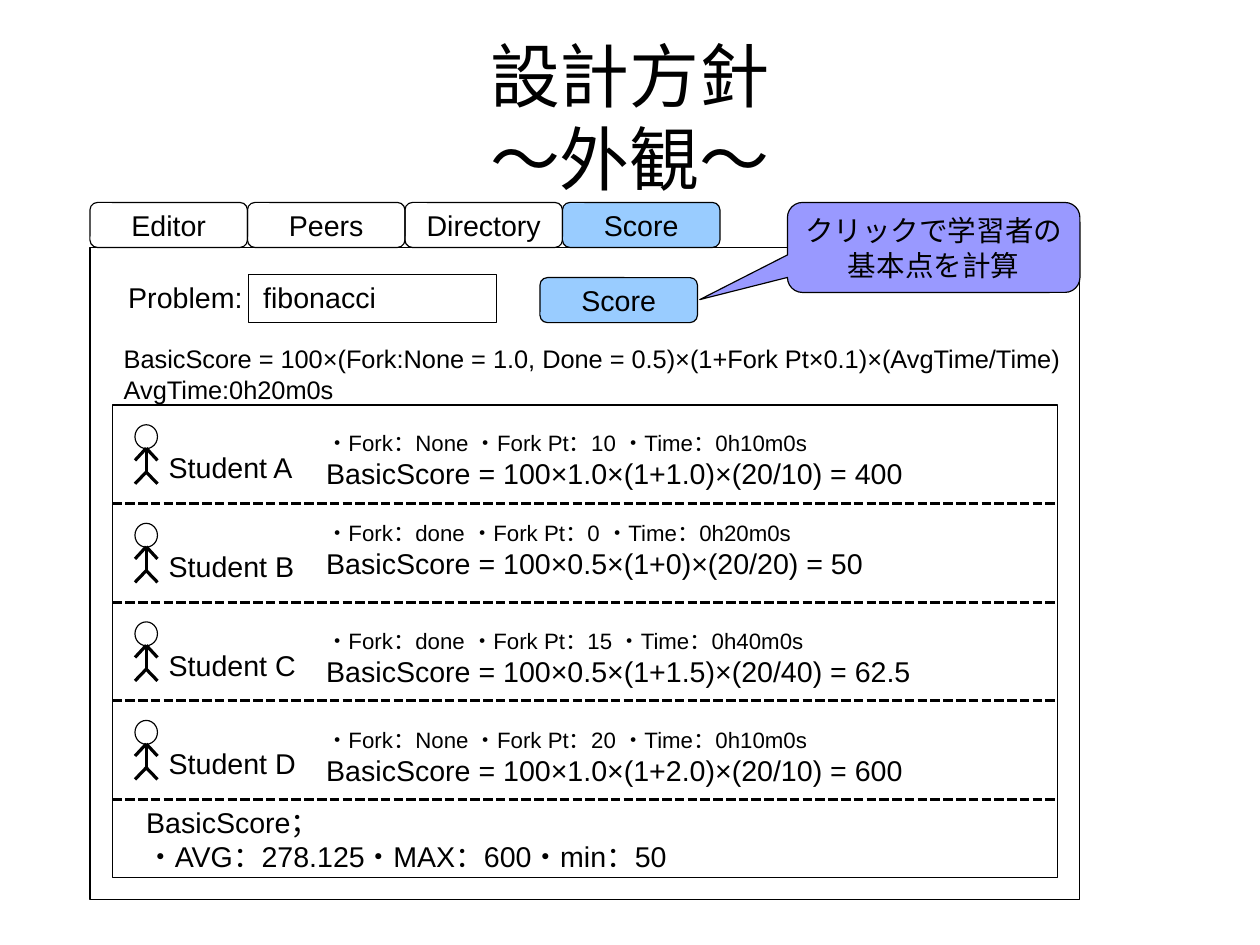
from lxml.etree import SubElement
from pptx import Presentation
from pptx.dml.color import RGBColor
from pptx.enum.dml import MSO_LINE_DASH_STYLE as DASH
from pptx.enum.shapes import MSO_CONNECTOR, MSO_SHAPE as SHAPE
from pptx.enum.text import MSO_ANCHOR as ANCHOR, MSO_AUTO_SIZE as AUTO_SIZE, PP_ALIGN as ALIGN
from pptx.oxml.ns import qn
from pptx.util import Cm, Pt

# Content
TITLE = "設計方針\v～外観～"
TABS = ["Editor", "Peers", "Directory", "Score"]
ACTIVE_TAB = "Score"
CALLOUT = [("クリックで学習者の", 18), ("基本点を計算", 18)]
FORMULA = [
    ("BasicScore = 100×(Fork:None = 1.0, Done = 0.5)×(1+Fork Pt×0.1)×(AvgTime/Time)", 16),
    ("AvgTime:0h20m0s", 16),
]
SUMMARY = [("BasicScore；", 18), ("・AVG：278.125・MAX：600・min：50", 18)]
# Name, conditions, calculation, offset of the details in the row, their width
STUDENTS = [
    ("Student A", "・Fork：None ・Fork Pt：10 ・Time：0h10m0s",
     "BasicScore = 100×1.0×(1+1.0)×(20/10) = 400", 0.4, 14),
    ("Student B", "・Fork：done ・Fork Pt：0 ・Time：0h20m0s",
     "BasicScore = 100×0.5×(1+0)×(20/20) = 50", 0.21, 13),
    ("Student C", "・Fork：done ・Fork Pt：15 ・Time：0h40m0s",
     "BasicScore = 100×0.5×(1+1.5)×(20/40) = 62.5", 0.44, 16.5),
    ("Student D", "・Fork：None ・Fork Pt：20 ・Time：0h10m0s",
     "BasicScore = 100×1.0×(1+2.0)×(20/10) = 600", 0.44, 16.5),
]

# Format
FONT = "Arial"
BLACK = RGBColor(0x00, 0x00, 0x00)
SKY = RGBColor(0x99, 0xCC, 0xFF)
VIOLET = RGBColor(0x99, 0x99, 0xFF)
TEXT_FRAME = {"word_wrap": True, "vertical_anchor": ANCHOR.TOP, "auto_size": AUTO_SIZE.NONE}

# Layout in centimetres
LEFT, TAB_TOP, TAB_WIDTH, TAB_HEIGHT = 2, 4.5, 3.5, 1
LIST_LEFT, LIST_TOP, LIST_WIDTH, LIST_HEIGHT = 2.5, 9, 21, 10.5
ROW_HEIGHT = 2.19
# Limbs from the body axis and the top of the row: x1, y1, x2, y2
LIMBS = [(0, 0.96, -0.25, 1.23), (0, 0.96, 0.25, 1.23), (0, 0.96, 0, 1.49),
         (0, 1.49, -0.25, 1.75), (0, 1.49, 0.25, 1.75)]

presentation = Presentation()
presentation.slide_width, presentation.slide_height = Cm(28), Cm(21)
slide = presentation.slides.add_slide(presentation.slide_layouts[5])


def write(frame, lines, align=ALIGN.LEFT, margins=(0.25, 0.13), **changes):
    for name, value in {**TEXT_FRAME, **changes}.items():
        setattr(frame, name, value)
    frame.margin_left = frame.margin_right = Cm(margins[0])
    frame.margin_top = frame.margin_bottom = Cm(margins[1])
    for index, (text, size) in enumerate(lines):
        paragraph = frame.add_paragraph() if index else frame.paragraphs[0]
        paragraph.text = text
        paragraph.alignment = align
        for run in paragraph.runs:
            formats = {"name": FONT, "size": Pt(size)}
            for name, value in formats.items():
                setattr(run.font, name, value)
            run.font.color.rgb = BLACK


def add_box(kind, left, top, width, height, lines=(), fill=None, wrap=True):
    shape = slide.shapes.add_shape(kind, Cm(left), Cm(top), Cm(width), Cm(height))
    shape.shadow.inherit = False
    if fill is None:
        shape.fill.background()
    else:
        shape.fill.solid()
        shape.fill.fore_color.rgb = fill
    shape.line.color.rgb = BLACK
    shape.line.width = Pt(0)
    write(shape.text_frame, lines, ALIGN.CENTER, vertical_anchor=ANCHOR.MIDDLE, word_wrap=wrap)
    return shape


def add_text(left, top, width, height, lines, **changes):
    box = slide.shapes.add_textbox(Cm(left), Cm(top), Cm(width), Cm(height))
    write(box.text_frame, lines, auto_size=AUTO_SIZE.SHAPE_TO_FIT_TEXT, **changes)


def add_line(x1, y1, x2, y2, dash=None):
    line = slide.shapes.add_connector(MSO_CONNECTOR.STRAIGHT, Cm(x1), Cm(y1), Cm(x2), Cm(y2))
    line.line.color.rgb = BLACK
    line.line.width = Pt(0)
    if dash:
        line.line.dash_style = dash
    SubElement(line._element.spPr, qn("a:effectLst"))


# Title
title = slide.shapes.title
title.left, title.top, title.width, title.height = Cm(1.4), Cm(0.33), Cm(25.2), Cm(4.5)
write(title.text_frame, [(TITLE, 44)], ALIGN.CENTER, (0, 0), vertical_anchor=ANCHOR.MIDDLE)

# Tabs and window
for column, label in enumerate(TABS):
    add_box(SHAPE.ROUNDED_RECTANGLE, LEFT + column * TAB_WIDTH, TAB_TOP, TAB_WIDTH, TAB_HEIGHT,
            [(label, 18)], SKY if label == ACTIVE_TAB else None)
add_box(SHAPE.RECTANGLE, LEFT, TAB_TOP + TAB_HEIGHT, 22, 14.5)

# Problem field and score button
add_box(SHAPE.RECTANGLE, 5.53, 6.1, 5.5, 1.07)
for left, text in [(2.5, "Problem:"), (5.5, "fibonacci")]:
    add_text(left, 6, 3.5, 1.17, [(text, 18)], margins=(0.35, 0.23))
add_box(SHAPE.ROUNDED_RECTANGLE, 12, 6.17, TAB_WIDTH, TAB_HEIGHT, [("Score", 18)], SKY)
add_text(LIST_LEFT, 7.5, 21.5, 1.5, FORMULA)

# Student list
add_box(SHAPE.RECTANGLE, LIST_LEFT, LIST_TOP, LIST_WIDTH, LIST_HEIGHT)
for row, (name, conditions, calculation, offset, width) in enumerate(STUDENTS):
    top = LIST_TOP + row * ROW_HEIGHT
    axis = LIST_LEFT + 0.75
    add_box(SHAPE.OVAL, axis - 0.25, top + 0.44, 0.5, 0.53)
    for x1, y1, x2, y2 in LIMBS:
        add_line(axis + x1, top + y1, axis + x2, top + y2)
    add_text(3.5, top + 0.88, 3.5, 0.97, [(name, 18)])
    add_text(7, top + offset, width, 1.68, [(conditions, 14), (calculation, 18)])
    bottom = top + ROW_HEIGHT
    add_line(LIST_LEFT, bottom, LIST_LEFT + LIST_WIDTH, bottom, DASH.SQUARE_DOT)
add_text(3, LIST_TOP + len(STUDENTS) * ROW_HEIGHT, 16.5, 2.08, SUMMARY)

# Callout to the score button
callout = add_box(SHAPE.ROUNDED_RECTANGULAR_CALLOUT, 17.5, TAB_TOP, 6.5, 2, CALLOUT, VIOLET, False)
callout.adjustments[0], callout.adjustments[1] = -0.8, 0.58

presentation.save("out.pptx")
